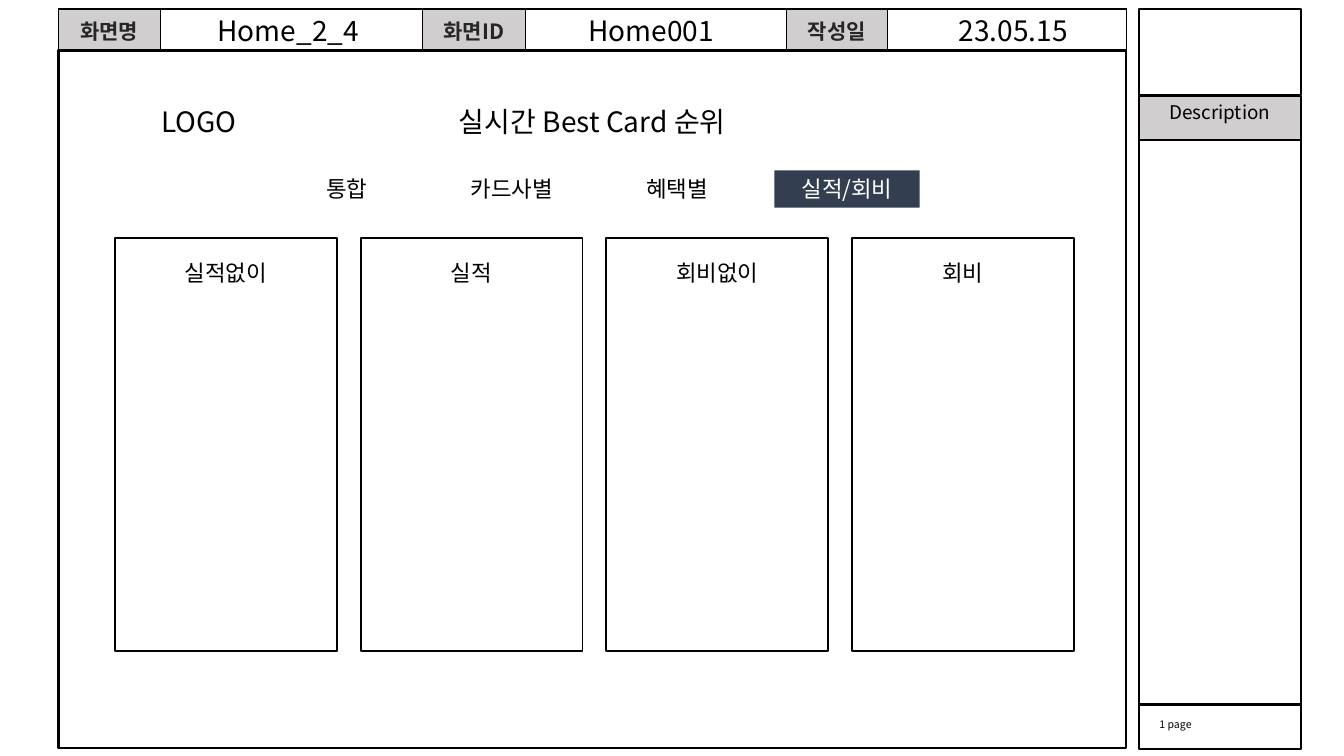
from pptx import Presentation
from pptx.dml.color import RGBColor
from pptx.enum.shapes import MSO_SHAPE
from pptx.enum.text import MSO_ANCHOR, MSO_AUTO_SIZE, PP_ALIGN
from pptx.oxml import parse_xml
from pptx.oxml.ns import nsdecls
from pptx.util import Inches, Pt

FONT = "Noto Sans CJK KR"
BLACK, WHITE, GRAY, NAVY, DARK = "000000", "FFFFFF", "D0CECE", "333F50", "262626"


def color(value):
    return RGBColor.from_string(value)


def write(frame, text, size=16, tint=BLACK, bold=False, align=PP_ALIGN.CENTER):
    frame.word_wrap = True
    frame.auto_size = MSO_AUTO_SIZE.NONE
    frame.vertical_anchor = MSO_ANCHOR.MIDDLE
    para = frame.paragraphs[0]
    para.alignment = align
    span = para.add_run()
    span.text = text
    span.font.name = FONT
    span.font.size = Pt(size)
    span.font.bold = bold
    span.font.color.rgb = color(tint)
    span.font._element.append(parse_xml(f'<a:ea {nsdecls("a")} typeface="{FONT}"/>'))


deck = Presentation()
deck.slide_width, deck.slide_height = Inches(13.33), Inches(7.5)
page = deck.slides.add_slide(deck.slide_layouts[5])

title = page.shapes.title
title.left, title.top, title.width, title.height = map(Inches, (3.8, 0.98, 4.15, 0.44))
write(title.text_frame, "실시간 Best Card 순위", size=20)

column_widths = [1.01, 2.6, 1.02, 2.59, 1, 2.37]
header_labels = ["화면명", "", "화면ID", "", "작성일", ""]
header = page.shapes.add_table(
    1, 6, Inches(0.58), Inches(0.09), Inches(sum(column_widths)), Inches(0.42)
).table
header.first_row = header.horz_banding = False
header.rows[0].height = Inches(0.42)
for index, (width, label) in enumerate(zip(column_widths, header_labels)):
    header.columns[index].width = Inches(width)
    cell = header.cell(0, index)
    cell.margin_left = cell.margin_right = Inches(0.09)
    cell.margin_top = cell.margin_bottom = Inches(0.06)
    cell.vertical_anchor = MSO_ANCHOR.MIDDLE
    properties = cell._tc.get_or_add_tcPr()
    for side in ("lnL", "lnR", "lnT", "lnB"):
        properties.append(parse_xml(
            f'<a:{side} {nsdecls("a")} w="12700"><a:solidFill>'
            f'<a:srgbClr val="{BLACK}"/></a:solidFill></a:{side}>'))
    if label:
        cell.fill.solid()
        cell.fill.fore_color.rgb = color(GRAY)
        write(cell.text_frame, label, size=15, tint=DARK, bold=True)
    else:
        cell.fill.background()
        cell.text_frame.paragraphs[0].font.size = Pt(10)

side_left, side_width = 11.3, 1.6
card_left, card_step, card_width = 1.14, 2.437, 2.2
card_names = ["실적없이", "실적", "회비없이", "회비"]
tab_left, tab_step, tab_top, tab_height = 2.77, 1.637, 1.69, 0.37
tab_names = ["통합", "카드사별", "혜택별"]

boxes = [
    (0.58, 0.5, 10.59, 6.92, None, 1.5),
    (side_left, 0.09, side_width, 0.85, None, 1.5),
    (side_left, 1.39, side_width, 5.6, None, 1.5),
    (side_left, 6.99, side_width, 0.44, None, 1.5),
    (side_left, 0.95, side_width, 0.44, GRAY, 1.5),
]
boxes += [
    (card_left + column * card_step, 2.36, card_width, 4.1, None, 1.25)
    for column in range(len(card_names))
]
boxes.append((tab_left + 3 * tab_step, tab_top, 1.44, tab_height, NAVY, 0))
for left, top, width, height, fill, line in boxes:
    box = page.shapes.add_shape(
        MSO_SHAPE.RECTANGLE, Inches(left), Inches(top), Inches(width), Inches(height))
    box.shadow.inherit = False
    if fill:
        box.fill.solid()
        box.fill.fore_color.rgb = color(fill)
    else:
        box.fill.background()
    if line:
        box.line.color.rgb = color(BLACK)
        box.line.width = Pt(line)
    else:
        box.line.fill.background()
active_tab = box
write(active_tab.text_frame, "실적/회비", tint=WHITE)

labels = [
    ("Home_2_4", 1.76, 0.08, 2.2, 0.44, {"size": 20}),
    ("Home001", 5.36, 0.08, 2.2, 0.44, {"size": 20}),
    ("23.05.15", 8.95, 0.08, 2.2, 0.44, {"size": 20}),
    ("LOGO", 1.49, 0.98, 0.97, 0.44, {"size": 20}),
    ("Description", 11.5, 0.95, 1.25, 0.33, {"size": 13.5, "align": PP_ALIGN.LEFT}),
    ("1 page", 11.4, 7.07, 1.32, 0.23, {"size": 7.5, "align": PP_ALIGN.LEFT}),
]
labels += [
    (name, tab_left + column * tab_step, tab_top, 1.34, tab_height, {})
    for column, name in enumerate(tab_names)
]
labels += [
    (name, card_left + 0.32 + column * card_step, 2.52, 1.56, 0.37, {})
    for column, name in enumerate(card_names)
]
for text, left, top, width, height, style in labels:
    label_box = page.shapes.add_textbox(
        Inches(left), Inches(top), Inches(width), Inches(height))
    write(label_box.text_frame, text, **style)

deck.save("out.pptx")
